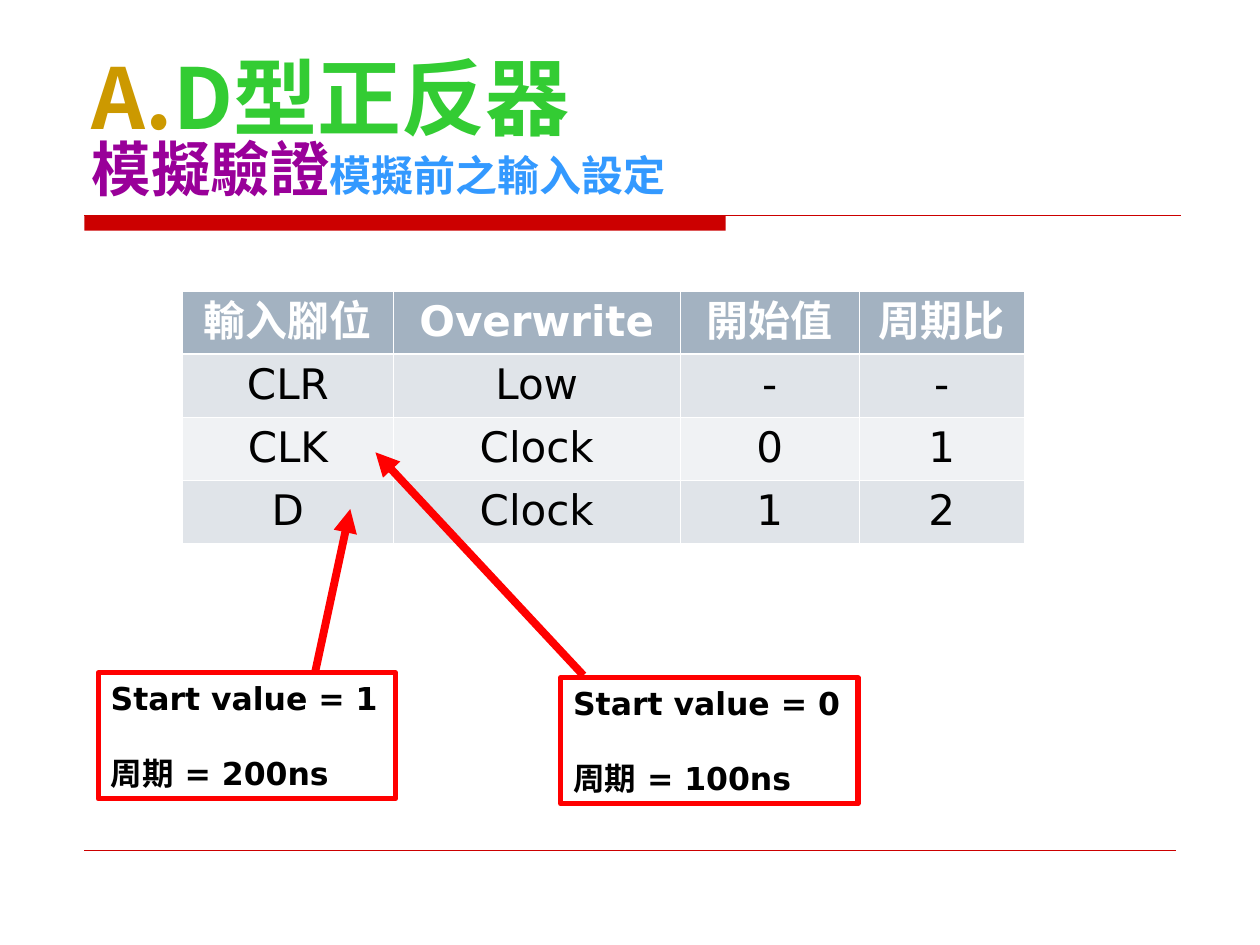
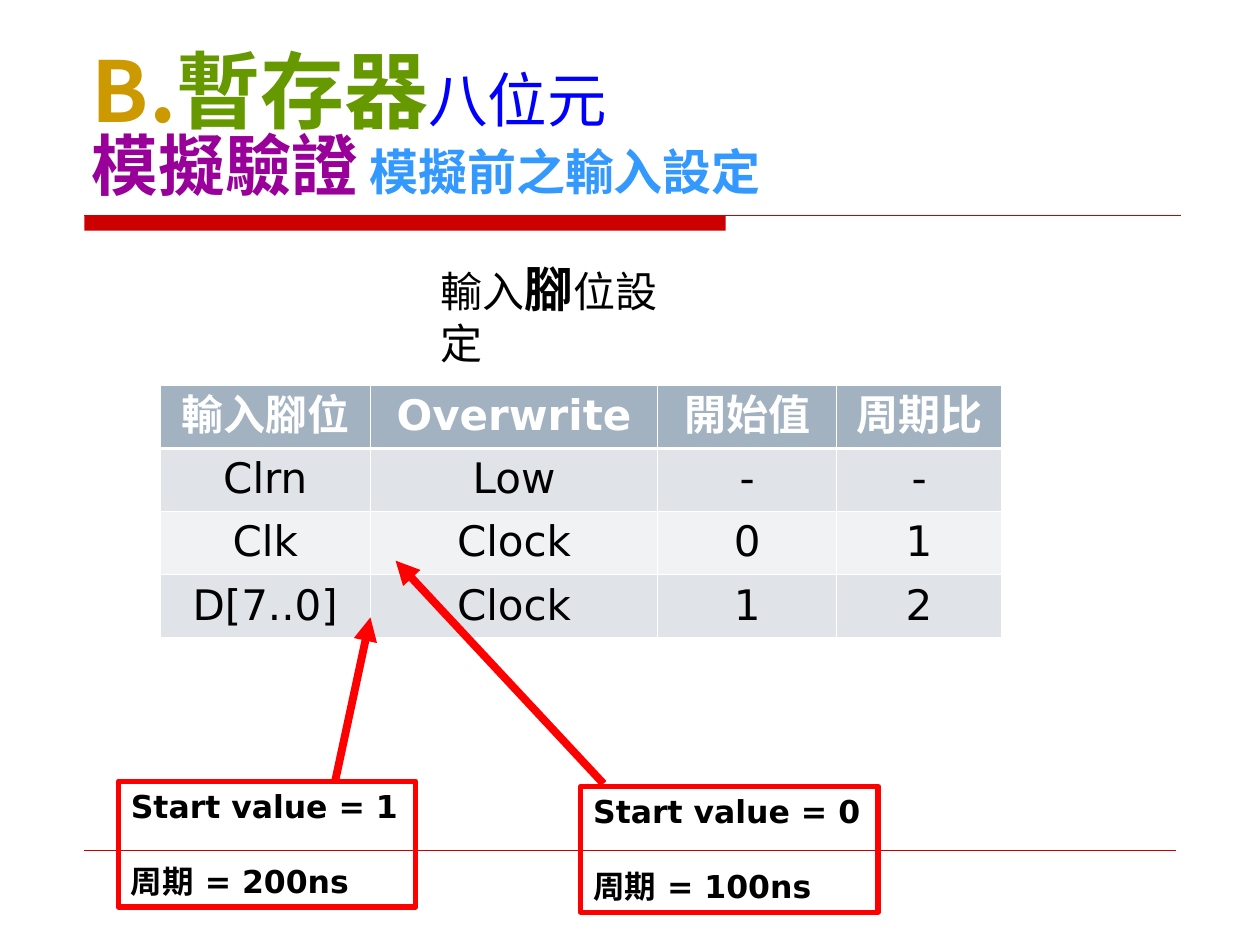
"""Build two slides on the input settings used before simulating a flip-flop and a register."""
from lxml import etree
from pptx import Presentation
from pptx.dml.color import RGBColor
from pptx.enum import shapes, text
from pptx.oxml import ns
from pptx.util import Inches, Pt

GOLD = RGBColor(0xCC, 0x99, 0x00)
GREEN = RGBColor(0x33, 0xCC, 0x33)
OLIVE = RGBColor(0x66, 0x99, 0x00)
PURPLE = RGBColor(0x99, 0x00, 0x99)
SKY = RGBColor(0x33, 0x99, 0xFF)
BLUE = RGBColor(0x00, 0x00, 0xFF)
BAND = RGBColor(0xCC, 0x00, 0x00)
RED = RGBColor(0xFF, 0x00, 0x00)
BLACK = RGBColor(0x00, 0x00, 0x00)
WHITE = RGBColor(0xFF, 0xFF, 0xFF)
HEADER = RGBColor(0xA3, 0xB2, 0xC1)
STRIPES = (RGBColor(0xE0, 0xE4, 0xE9), RGBColor(0xF0, 0xF2, 0xF4))

SANS, CJK, CJK_SC = "DejaVu Sans", "Noto Sans CJK JP", "Noto Sans CJK SC"

COLUMNS = [("輸入腳位", 1.67), ("Overwrite", 2.28), ("開始值", 1.42), ("周期比", 1.31)]
SETTINGS = [("Low", "-", "-"), ("Clock", "0", "1"), ("Clock", "1", "2")]
ROW_HEIGHT = 0.5

CALLOUTS = [
    {"lines": ("Start value = 1", "周期 = 200ns"), "at": (0.78, 5.34),
     "arrow": ((2.5, 5.34), (2.78, 4.04))},
    {"lines": ("Start value = 0", "周期 = 100ns"), "at": (4.45, 5.38),
     "arrow": ((4.63, 5.36), (2.98, 3.59))},
]

PAGES = [
    {"title": [
        [("A.", 48, CJK, GOLD, True), ("D型正反器", 48, CJK, GREEN, True)],
        [("模擬驗證", 34, CJK, PURPLE, True), ("模擬前之輸入設定", 24, SANS, SKY, True)]],
     "caption": [],
     "pins": ("CLR", "CLK", "D"),
     "table_at": (1.45, 2.31),
     "callout_shift": (0, 0)},
    {"title": [
        [("B.", 48, CJK, GOLD, True), ("暫存器", 48, CJK, OLIVE, True),
         ("八位元", 34, SANS, BLUE, False)],
        [("模擬驗證", 38, CJK, PURPLE, True), (" ", 28, CJK, PURPLE, True),
         ("模擬前之輸入設定", 28, SANS, SKY, True)]],
     "caption": [("輸入", 24, CJK, BLACK, False), ("腳", 28, CJK_SC, BLACK, True),
                 ("位設定", 24, CJK, BLACK, False)],
     "pins": ("Clrn", "Clk", "D[7..0]"),
     "table_at": (1.27, 3.06),
     "callout_shift": (0.16, 0.86)},
]


def add_span(para, words, size, face, color, bold):
    span = para.add_run()
    span.text = words
    for name, value in {"size": Pt(size), "name": face, "bold": bold}.items():
        setattr(span.font, name, value)
    span.font.color.rgb = color
    etree.SubElement(span.font._element, ns.qn("a:ea"), typeface=face)


def add_line(page, start, end, color, width, arrow=False):
    line = page.shapes.add_connector(
        shapes.MSO_CONNECTOR.STRAIGHT, *map(Inches, (*start, *end)))
    line.line.color.rgb = color
    line.line.width = Pt(width)
    if arrow:
        etree.SubElement(line.line._get_or_add_ln(), ns.qn("a:tailEnd"), type="triangle")
    etree.SubElement(line._element.spPr, ns.qn("a:effectLst"))
    return line


def add_rectangle(page, left, top, width, height):
    box = page.shapes.add_shape(
        shapes.MSO_SHAPE.RECTANGLE, *map(Inches, (left, top, width, height)))
    box.shadow.inherit = False
    return box


def style_layout(layout, page):
    title = layout.placeholders[0]
    place = {"left": 0.63, "top": 0.33, "width": 8.75, "height": 1.33}
    for name, value in place.items():
        setattr(title, name, Inches(value))
    title.text_frame.vertical_anchor = text.MSO_ANCHOR.BOTTOM
    band = add_rectangle(page, 0.67, 1.71, 5.09, 0.12)
    band.fill.solid()
    band.fill.fore_color.rgb = BAND
    band.line.fill.background()
    rule = add_line(page, (0.67, 1.71), (9.37, 1.71), BAND, 0.75)
    footer = add_line(page, (0.67, 6.75), (9.33, 6.75), BAND, 0.25)
    for part in (band, rule, footer):
        layout.shapes.element.append(part._element)


def add_title(page, lines):
    frame = page.shapes.title.text_frame
    frame.auto_size = text.MSO_AUTO_SIZE.NONE
    para = frame.paragraphs[0]
    para.alignment = text.PP_ALIGN.LEFT
    para.line_spacing = 0.8
    for number, spans in enumerate(lines):
        if number:
            para.add_line_break()
        for span in spans:
            add_span(para, *span)


def add_caption(page, spans):
    box = page.shapes.add_textbox(*map(Inches, (3.4, 2.2, 2.25, 0.57)))
    box.text_frame.word_wrap = False
    box.text_frame.vertical_anchor = text.MSO_ANCHOR.MIDDLE
    for span in spans:
        add_span(box.text_frame.paragraphs[0], *span)


def set_borders(cell, widths):
    properties = cell._tc.get_or_add_tcPr()
    for position, (side, width) in enumerate(widths.items()):
        border = etree.Element(ns.qn(f"a:ln{side}"), w=str(Pt(width)))
        fill = etree.SubElement(border, ns.qn("a:solidFill"))
        etree.SubElement(fill, ns.qn("a:srgbClr"), val=str(WHITE))
        properties.insert(position, border)


def add_settings_table(page, pins, at):
    rows = [[heading for heading, _ in COLUMNS]]
    rows += [(pin, *values) for pin, values in zip(pins, SETTINGS)]
    size = (sum(width for _, width in COLUMNS), ROW_HEIGHT * len(rows))
    table = page.shapes.add_table(len(rows), len(COLUMNS), *map(Inches, (*at, *size))).table
    for column, (_, width) in zip(table.columns, COLUMNS):
        column.width = Inches(width)
    for r, row in enumerate(rows):
        for c, words in enumerate(row):
            cell = table.cell(r, c)
            cell.fill.solid()
            cell.fill.fore_color.rgb = STRIPES[(r - 1) % 2] if r else HEADER
            set_borders(cell, {"L": 0.45, "R": 0.45, "T": 1.47 if r == 1 else 0.45,
                               "B": 0.45 if r else 1.47})
            para = cell.text_frame.paragraphs[0]
            para.alignment = text.PP_ALIGN.CENTER
            add_span(para, words, 24, SANS, BLACK if r else WHITE, r == 0)


def add_callout(page, callout, shift):
    def moved(point):
        return tuple(a + b for a, b in zip(point, shift))

    add_line(page, *map(moved, callout["arrow"]), RED, 4.5, arrow=True)
    box = add_rectangle(page, *moved(callout["at"]), 2.36, 1)
    box.fill.background()
    box.line.color.rgb = RED
    box.line.width = Pt(3)
    frame = box.text_frame
    frame.word_wrap = True
    frame.auto_size = text.MSO_AUTO_SIZE.SHAPE_TO_FIT_TEXT
    frame.vertical_anchor = text.MSO_ANCHOR.TOP
    for number, words in enumerate(callout["lines"]):
        para = frame.add_paragraph() if number else frame.paragraphs[0]
        para.alignment = text.PP_ALIGN.LEFT
        if number:
            para.space_before = Pt(21)
        add_span(para, words, 18, SANS, BLACK, True)


def main():
    deck = Presentation()
    deck.slide_width, deck.slide_height = Inches(10), Inches(7.5)
    layout = deck.slide_layouts[5]
    for number, content in enumerate(PAGES):
        page = deck.slides.add_slide(layout)
        if number == 0:
            style_layout(layout, page)
        add_title(page, content["title"])
        if content["caption"]:
            add_caption(page, content["caption"])
        add_settings_table(page, content["pins"], content["table_at"])
        for callout in CALLOUTS:
            add_callout(page, callout, content["callout_shift"])
    deck.save("out.pptx")


if __name__ == "__main__":
    main()
